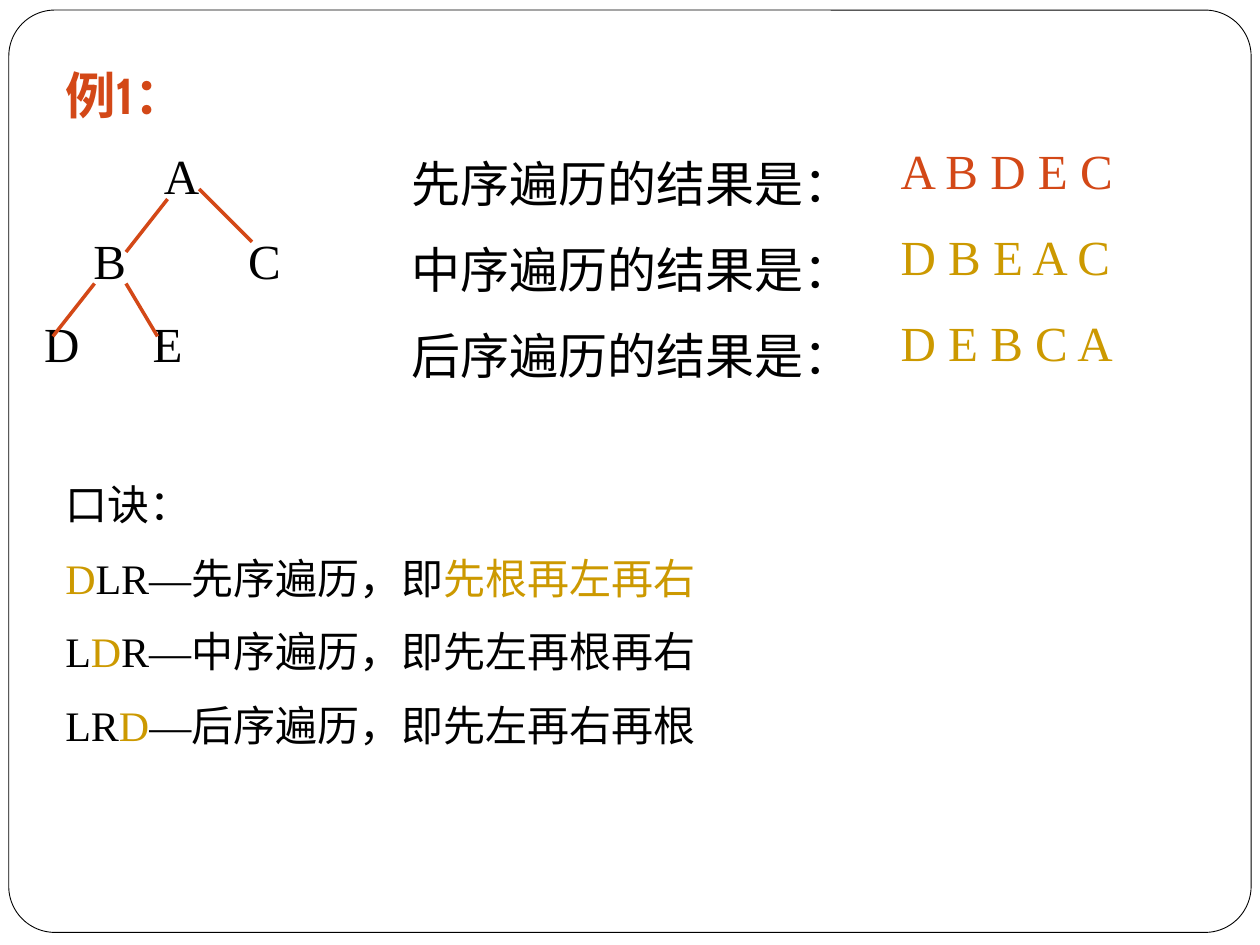
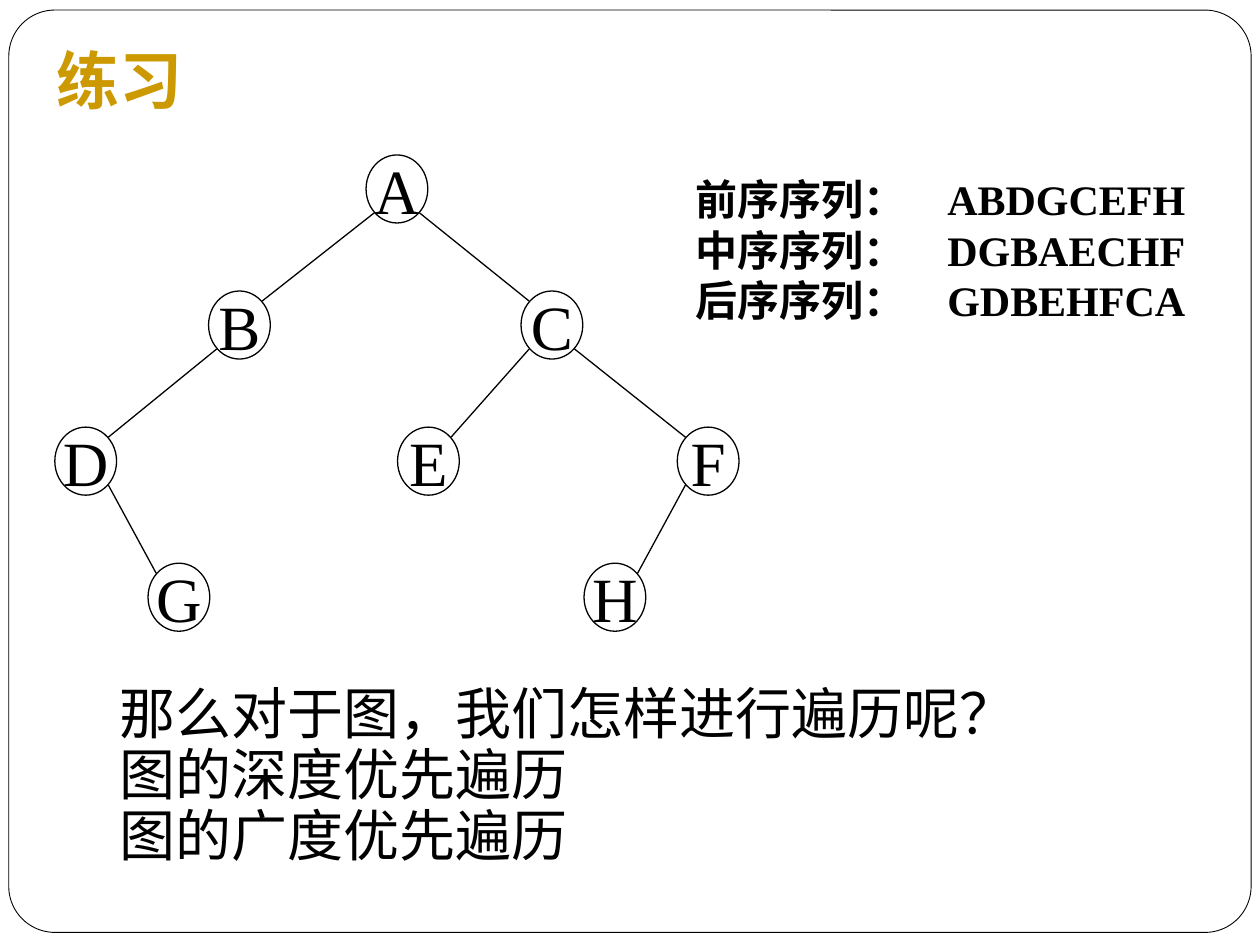
from pptx import Presentation
from pptx.dml.color import RGBColor
from pptx.enum.shapes import MSO_CONNECTOR, MSO_SHAPE
from pptx.enum.text import MSO_ANCHOR, MSO_AUTO_SIZE, PP_ALIGN
from pptx.oxml.ns import qn
from pptx.util import Inches, Pt

STRAIGHT = MSO_CONNECTOR.STRAIGHT
ROUNDED, OVAL = MSO_SHAPE.ROUNDED_RECTANGLE, MSO_SHAPE.OVAL
TOP, MIDDLE, BOTTOM = MSO_ANCHOR.TOP, MSO_ANCHOR.MIDDLE, MSO_ANCHOR.BOTTOM
LEFT, CENTER = PP_ALIGN.LEFT, PP_ALIGN.CENTER
NO_AUTOFIT = MSO_AUTO_SIZE.NONE

BLACK, WHITE, ORANGE, GOLD = "000000", "FFFFFF", "D34817", "CC9900"
SERIF = "Times New Roman"


def write(frame, lines, size, font=SERIF, bold=False, align=LEFT,
          anchor=TOP, gap=0, spacing=1.0, inset=(0.1, 0.05)):
    """Fill a text frame; each line is a list of (text, colour) runs."""
    frame.word_wrap = True
    frame.auto_size = NO_AUTOFIT
    frame.vertical_anchor = anchor
    frame.margin_left = frame.margin_right = Inches(inset[0])
    frame.margin_top = frame.margin_bottom = Inches(inset[1])
    for i, line in enumerate(lines):
        paragraph = frame.add_paragraph() if i else frame.paragraphs[0]
        paragraph.alignment = align
        paragraph.line_spacing = spacing
        paragraph.space_before = Pt(gap if i else 0)
        for text, color in line:
            run = paragraph.add_run()
            run.text = text
            run.font.size = Pt(size)
            run.font.name = font
            run.font.bold = bold
            run.font.color.rgb = RGBColor.from_string(color)


def add_edge(slide, x1, y1, x2, y2, color, width):
    edge = slide.shapes.add_connector(
        STRAIGHT, Inches(x1), Inches(y1), Inches(x2), Inches(y2))
    edge.line.color.rgb = RGBColor.from_string(color)
    edge.line.width = Pt(width)
    properties = edge._element.spPr
    properties.append(properties.makeelement(qn("a:effectLst"), {}))


prs = Presentation()
prs.slide_width, prs.slide_height = Inches(10), Inches(7.5)

# Shared: white background, rounded frame and title
titles = [
    ("例1：", (0.42, 0.42, 1.42, 0.67), 28.8, "Cabin", ORANGE, BOTTOM),
    ("练习", (0.35, 0.28, 3.94, 0.71), 36, "Karla", GOLD, TOP),
]
slides = []
for heading, place, size, font, color, anchor in titles:
    slide = prs.slides.add_slide(prs.slide_layouts[5])
    slide.background.fill.solid()
    slide.background.fill.fore_color.rgb = RGBColor.from_string(WHITE)
    border = slide.shapes.add_shape(
        ROUNDED, Inches(0.07), Inches(0.08), Inches(9.86), Inches(7.32))
    border.adjustments[0] = 0.05
    border.shadow.inherit = False
    border.fill.background()
    border.line.color.rgb = RGBColor.from_string(BLACK)
    border.line.width = Pt(0.5)
    title = slide.shapes.title
    title.left, title.top, title.width, title.height = map(Inches, place)
    write(title.text_frame, [[(heading, color)]], size, font, True, anchor=anchor)
    if anchor == BOTTOM:
        title.text_frame.margin_bottom = Inches(0.1)
    slides.append(slide)
example, exercise = slides

# Slide 1: small tree, traversal results and mnemonic
example_nodes = {"A": (1.44, 1.39), "B": (0.87, 2.06), "C": (2.1, 2.06),
                 "D": (0.49, 2.72), "E": (1.33, 2.72)}
for letter, (x, y) in example_nodes.items():
    label = example.shapes.add_textbox(
        Inches(x - 0.25), Inches(y - 0.25), Inches(0.5), Inches(0.5))
    write(label.text_frame, [[(letter, BLACK)]], 28,
          align=CENTER, anchor=MIDDLE, inset=(0, 0))

for ends in [(1.33, 1.58, 1, 2), (1.58, 1.5, 2, 1.92),
             (1, 2.25, 1.25, 2.67), (0.75, 2.25, 0.42, 2.67)]:
    add_edge(example, *ends, ORANGE, 2)

questions = [[(f"{order}序遍历的结果是：", BLACK)] for order in "先中后"]
answers = [[("A B D E C", ORANGE)], [("D B E A C", GOLD)], [("D E B C A", GOLD)]]
mnemonic = [
    [("口诀：", BLACK)],
    [("D", GOLD), ("LR—先序遍历，即", BLACK), ("先根再左再右", GOLD)],
    [("L", BLACK), ("D", GOLD), ("R—中序遍历，即先左再根再右", BLACK)],
    [("LR", BLACK), ("D", GOLD), ("—后序遍历，即先左再右再根", BLACK)],
]
for lines, place, size in [(questions, (3.17, 1.17, 3.88, 1.97), 28),
                           (answers, (7.05, 1.07, 2, 1.97), 28),
                           (mnemonic, (0.42, 3.75, 5.33, 2.3), 24)]:
    box = example.shapes.add_textbox(*map(Inches, place))
    write(box.text_frame, lines, size, gap=0.55 * size)

# Slide 2: exercise tree, its sequences and the closing question
NODE_W, NODE_H = 0.49, 0.54
FIRST_ROW, ROW_STEP = 1.5, 1.08
EDGE_DX, EDGE_DY = 0.18, 0.19
# letter: (centre x, row, parent)
exercise_nodes = {
    "A": (3.15, 0, None),
    "B": (1.9, 1, "A"), "C": (4.38, 1, "A"),
    "D": (0.68, 2, "B"), "E": (3.4, 2, "C"), "F": (5.62, 2, "C"),
    "G": (1.42, 3, "D"), "H": (4.88, 3, "F"),
}
for letter, (x, row, parent) in exercise_nodes.items():
    y = FIRST_ROW + row * ROW_STEP
    node = exercise.shapes.add_shape(
        OVAL, Inches(x - NODE_W / 2), Inches(y - NODE_H / 2),
        Inches(NODE_W), Inches(NODE_H))
    node.shadow.inherit = False
    node.fill.background()
    node.line.color.rgb = RGBColor.from_string(BLACK)
    node.line.width = Pt(0.75)
    write(node.text_frame, [[(letter, BLACK)]], 36,
          align=CENTER, anchor=MIDDLE, inset=(0, 0))
    node.text_frame.word_wrap = False
    if parent:
        parent_x = exercise_nodes[parent][0]
        dx = EDGE_DX if x > parent_x else -EDGE_DX
        add_edge(exercise, parent_x + dx, y - ROW_STEP + EDGE_DY,
                 x - dx, y - EDGE_DY, BLACK, 0.75)

sequences = [("前", "ABDGCEFH"), ("中", "DGBAECHF"), ("后", "GDBEHFCA")]
sequence_box = exercise.shapes.add_textbox(
    Inches(5.42), Inches(1.33), Inches(4.2), Inches(1.7))
write(sequence_box.text_frame,
      [[(f"{order}序序列：\t{letters}", BLACK)] for order, letters in sequences],
      24, bold=True)

closing = ["那么对于图，我们怎样进行遍历呢？", "图的深度优先遍历", "图的广度优先遍历"]
closing_box = exercise.shapes.add_textbox(
    Inches(0.85), Inches(5.4), Inches(8.95), Inches(1.56))
write(closing_box.text_frame, [[(line, BLACK)] for line in closing],
      32, "Arial", spacing=0.9)

prs.save("out.pptx")
